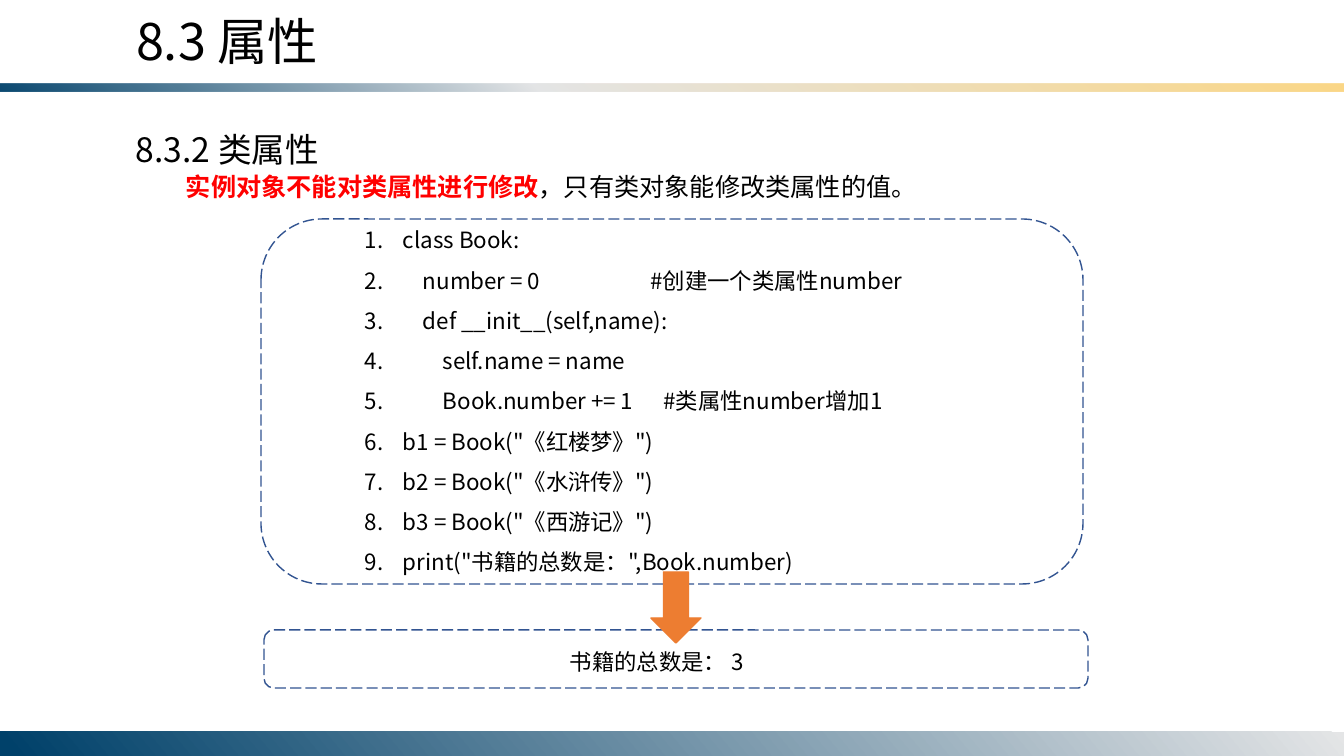
from lxml.etree import SubElement
from pptx import Presentation
from pptx.dml.color import RGBColor
from pptx.enum.dml import MSO_LINE_DASH_STYLE as Dash
from pptx.enum.shapes import MSO_SHAPE as Shape
from pptx.enum.text import MSO_ANCHOR as Anchor, MSO_AUTO_SIZE as AutoSize, PP_ALIGN as Align
from pptx.oxml.ns import qn
from pptx.util import Pt

PX = 12192000 / 1344
FONT = "Noto Sans CJK SC"
BLACK, RED, NAVY, ORANGE = "000000", "FF0000", "325491", "ED7D31"

TITLE = ("8.3 属性", (126, 5, 617, 72))
SUBTITLE = ("8.3.2 类属性", (126, 124, 520, 50))
RULE = [("实例对象不能对类属性进行修改", RED, True),
        ("，只有类对象能修改类属性的值。", BLACK, False)]
CODE = [
    "class Book:",
    "    number = 0                      #创建一个类属性number",
    "    def __init__(self,name):",
    "        self.name = name",
    "        Book.number += 1      #类属性number增加1",
    'b1 = Book("《红楼梦》")',
    'b2 = Book("《水浒传》")',
    'b3 = Book("《西游记》")',
    'print("书籍的总数是：",Book.number)',
]
OUTPUT = "书籍的总数是： 3"

# box, angle in degrees, flipped, stops of (percent, colour, opacity percent)
BANDS = [
    ((0, 84, 1344, 8), 50, True,
     [(0, "00416A", 95), (40, "E4E5E6", 100), (100, "FBD786", 100)]),
    ((0, 732, 1344, 24), 140, False,
     [(0, "E4E5E6", 100), (99, "00416A", 100)]),
]
FRAMES = [(261, 219, 822, 365), (264, 630, 824, 58)]
ARROW = (651, 572, 50, 71)
SINGLE, LOOSE = 1.0, 1.5


def emu(length):
    return round(length * PX)


def color(code):
    return RGBColor.from_string(code)


def add_shape(kind, box):
    shape = slide.shapes.add_shape(kind, *map(emu, box))
    shape.shadow.inherit = False
    shape.fill.background()
    shape.line.fill.background()
    return shape


def outline(shape, code):
    shape.line.color.rgb = color(code)
    shape.line.width = Pt(1)


def fill_gradient(shape, angle, stops):
    properties = shape.element.spPr
    old_fill = properties.find(qn("a:noFill"))
    gradient = SubElement(properties, qn("a:gradFill"), rotWithShape="1")
    properties.replace(old_fill, gradient)
    stop_list = SubElement(gradient, qn("a:gsLst"))
    for percent, code, opacity in stops:
        stop = SubElement(stop_list, qn("a:gs"), pos=str(percent * 1000))
        tint = SubElement(stop, qn("a:srgbClr"), val=code)
        if opacity < 100:
            SubElement(tint, qn("a:alpha"), val=str(opacity * 1000))
    SubElement(gradient, qn("a:lin"), ang=str(angle * 60000), scaled="0")


def write(shape, lines, size, spacing, margin=0, indent=0, numbered=False):
    """Fill a text shape; each line is a list of (text, colour, bold)."""
    frame = shape.text_frame
    settings = {"word_wrap": True, "auto_size": AutoSize.NONE,
                "vertical_anchor": Anchor.TOP,
                "margin_left": 91440, "margin_right": 91440,
                "margin_top": 45720, "margin_bottom": 45720}
    for name, value in settings.items():
        setattr(frame, name, value)
    for number, spans in enumerate(lines):
        para = frame.add_paragraph() if number else frame.paragraphs[0]
        layout = para._p.get_or_add_pPr()
        layout.set("marL", str(emu(margin)))
        layout.set("indent", str(emu(indent)))
        if numbered:
            SubElement(layout, qn("a:buFont"), typeface="+mj-lt")
            SubElement(layout, qn("a:buAutoNum"), type="arabicPeriod")
        para.alignment = Align.LEFT
        para.line_spacing = spacing
        for text, code, bold in spans:
            span = para.add_run()
            span.text = text
            for name, value in {"size": Pt(size), "bold": bold, "name": FONT}.items():
                setattr(span.font, name, value)
            span.font.color.rgb = color(code)
            SubElement(span.font._element, qn("a:ea"), typeface=FONT)


def add_text(box, lines, size, spacing, **layout):
    text_box = slide.shapes.add_textbox(*map(emu, box))
    write(text_box, lines, size, spacing, **layout)


def plain(text):
    return [(text, BLACK, False)]


deck = Presentation()
deck.slide_width, deck.slide_height = emu(1344), emu(756)
slide = deck.slides.add_slide(deck.slide_layouts[5])

for box, angle, flipped, stops in BANDS:
    band = add_shape(Shape.RECTANGLE, box)
    fill_gradient(band, angle, stops)
    if flipped:
        band.element.spPr.find(qn("a:xfrm")).set("flipV", "1")

title_text, title_box = TITLE
title = slide.shapes.title
for side, length in zip(("left", "top", "width", "height"), title_box):
    setattr(title, side, emu(length))
write(title, [plain(title_text)], 36, SINGLE)

subtitle_text, subtitle_box = SUBTITLE
add_text(subtitle_box, [plain(subtitle_text)], 24, SINGLE)
add_text((126, 151, 1075, 55), [RULE], 18, LOOSE, indent=50)
add_text((355, 208, 641, 376), [plain(line) for line in CODE], 16, LOOSE,
         margin=38, indent=-38, numbered=True)
add_text((560, 630, 205, 50), [plain(OUTPUT)], 16, LOOSE)

for box in FRAMES:
    frame_shape = add_shape(Shape.ROUNDED_RECTANGLE, box)
    outline(frame_shape, NAVY)
    frame_shape.line.dash_style = Dash.LONG_DASH

arrow = add_shape(Shape.DOWN_ARROW, ARROW)
arrow.fill.solid()
arrow.fill.fore_color.rgb = color(ORANGE)
outline(arrow, ORANGE)

deck.save("out.pptx")
